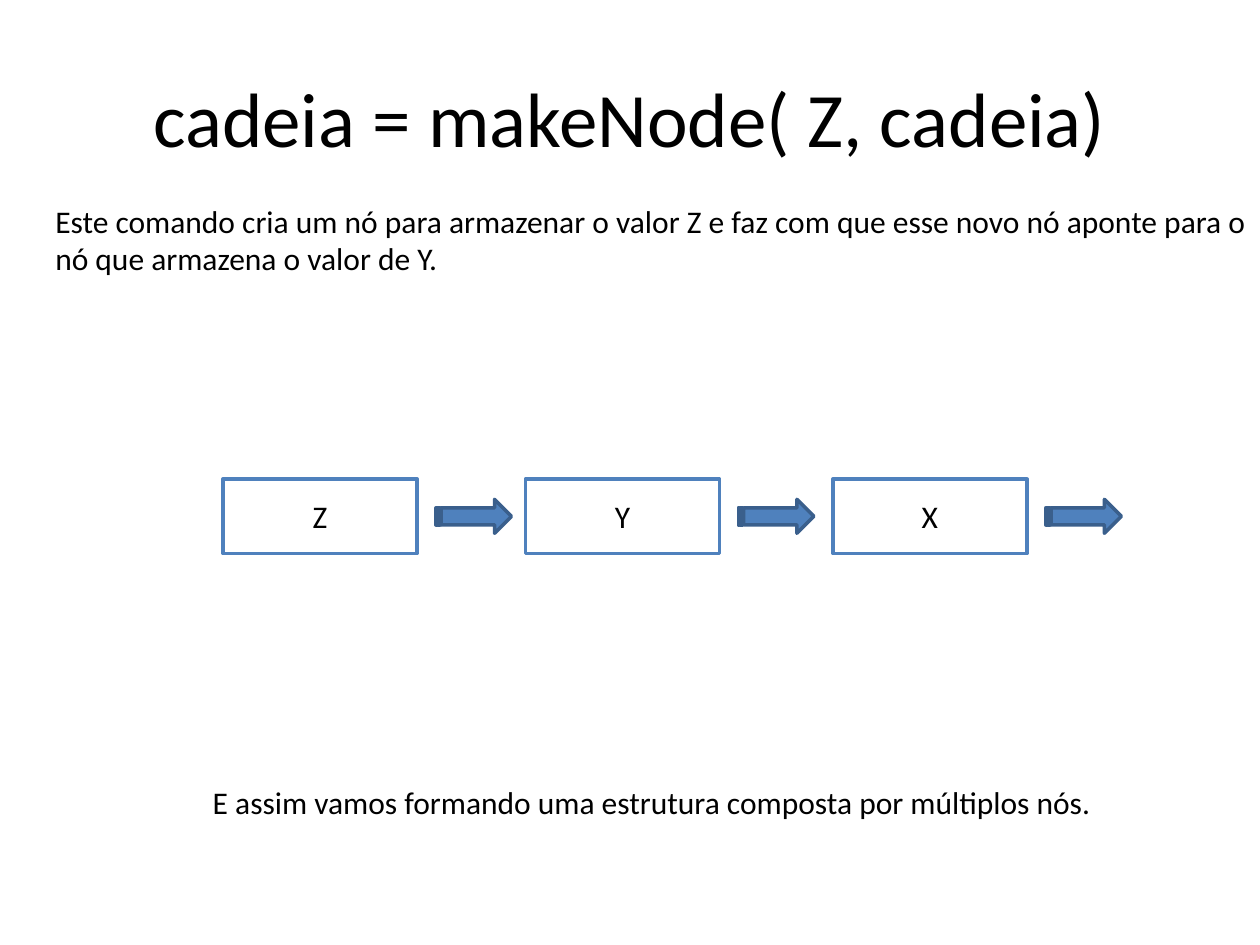
from pptx import Presentation
from pptx.dml.color import RGBColor
from pptx.enum import shapes, text
from pptx.util import Pt

HEADING = "cadeia = makeNode( Z, cadeia)"
NOTES = [
    (["Este comando cria um nó para armazenar o valor Z e faz com que esse novo nó aponte para o",
      "nó que armazena o valor de Y."], (24.5, 111.6, 704.9, 51.1)),
    (["E assim vamos formando uma estrutura composta por múltiplos nós."],
     (114.5, 444.2, 518.4, 28.8)),
]
NODES = [("Z", 127.4), ("Y", 300.2), ("X", 475.9)]
NODE_TOP, NODE_WIDTH, NODE_HEIGHT = 273.8, 111, 42.5
ARROW_GAP, ARROW_WIDTH, ARROW_HEIGHT = 10.7, 43.2, 19.4
BLUE, DARK_BLUE, WHITE, BLACK = "4F81BD", "3A5F8C", "FFFFFF", "000000"


def color(code):
    return RGBColor.from_string(code)


def write(frame, lines, size, align):
    frame.text = "\n".join(lines)
    for paragraph in frame.paragraphs:
        paragraph.alignment = align
        paragraph.font.name = "Calibri"
        paragraph.font.size = Pt(size)
        paragraph.font.color.rgb = color(BLACK)


def draw(slide, kind, box, fill, line):
    shape = slide.shapes.add_shape(kind, *map(Pt, box))
    shape.shadow.inherit = False
    shape.fill.solid()
    shape.fill.fore_color.rgb = color(fill)
    shape.line.color.rgb = color(line)
    shape.line.width = Pt(2)
    return shape


def main():
    deck = Presentation()
    deck.slide_width, deck.slide_height = Pt(720), Pt(540)
    slide = deck.slides.add_slide(deck.slide_layouts[5])

    heading = slide.shapes.title
    heading.left, heading.top, heading.width, heading.height = map(Pt, (36, 21.6, 648, 90))
    heading.text_frame.vertical_anchor = text.MSO_ANCHOR.MIDDLE
    write(heading.text_frame, [HEADING], 44, text.PP_ALIGN.CENTER)

    for lines, box in NOTES:
        note = slide.shapes.add_textbox(*map(Pt, box)).text_frame
        note.word_wrap = False
        note.auto_size = text.MSO_AUTO_SIZE.SHAPE_TO_FIT_TEXT
        write(note, lines, 18, text.PP_ALIGN.LEFT)

    arrow_top = NODE_TOP + (NODE_HEIGHT - ARROW_HEIGHT) / 2
    for value, left in NODES:
        node = draw(slide, shapes.MSO_SHAPE.RECTANGLE,
                    (left, NODE_TOP, NODE_WIDTH, NODE_HEIGHT), WHITE, BLUE)
        node.text_frame.vertical_anchor = text.MSO_ANCHOR.MIDDLE
        write(node.text_frame, [value], 18, text.PP_ALIGN.CENTER)
        draw(slide, shapes.MSO_SHAPE.STRIPED_RIGHT_ARROW,
             (left + NODE_WIDTH + ARROW_GAP, arrow_top, ARROW_WIDTH, ARROW_HEIGHT),
             BLUE, DARK_BLUE)

    deck.save("out.pptx")


if __name__ == "__main__":
    main()
